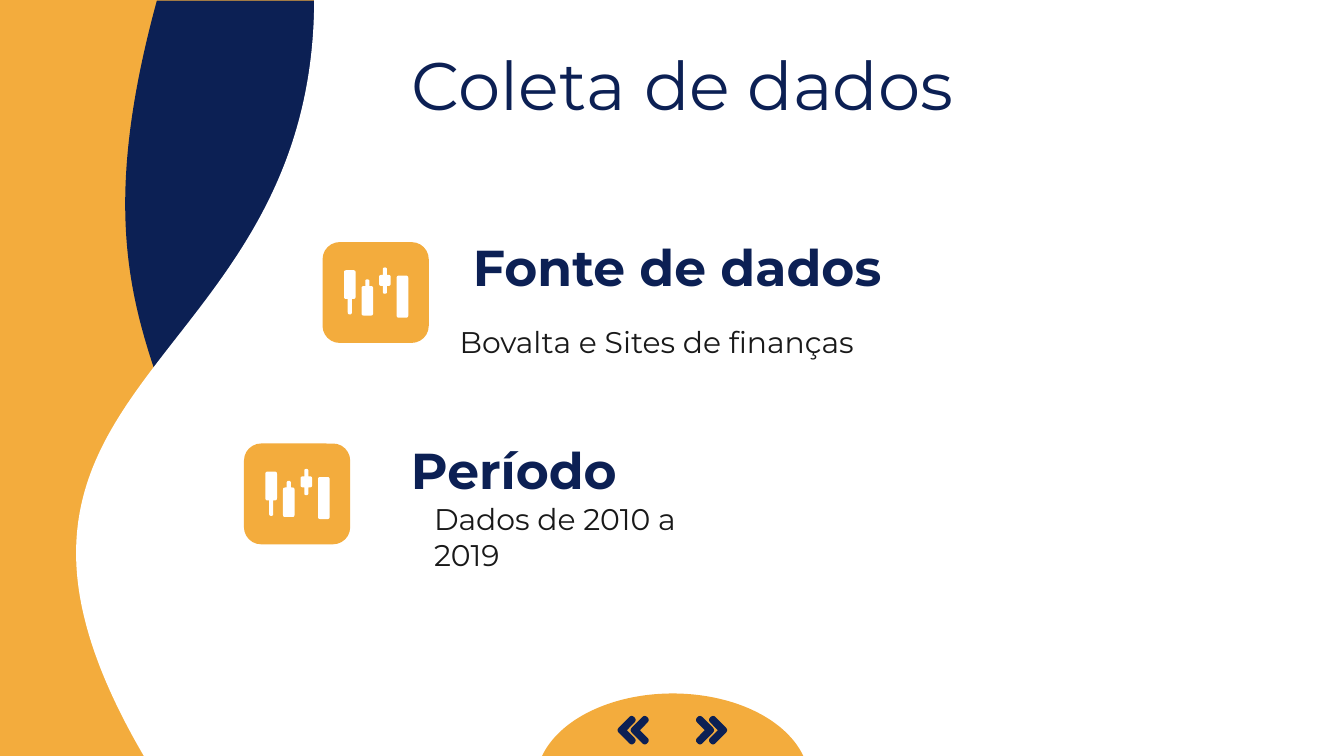
"""Build the "Coleta de dados" slide with its wave background and candle icons."""
from dataclasses import dataclass

from pptx import Presentation
from pptx.dml.color import RGBColor
from pptx.enum.shapes import MSO_SHAPE
from pptx.enum.text import MSO_ANCHOR, PP_ALIGN
from pptx.util import Pt

WAVE = MSO_SHAPE.FLOWCHART_DOCUMENT
TILE = MSO_SHAPE.ROUNDED_RECTANGLE
PIE = MSO_SHAPE.CHART_PIE if hasattr(MSO_SHAPE, "CHART_PIE") else MSO_SHAPE.PIE
MIDDLE = MSO_ANCHOR.MIDDLE
LEFT, CENTER = PP_ALIGN.LEFT, PP_ALIGN.CENTER


@dataclass(frozen=True)
class Theme:
    orange: RGBColor = RGBColor(0xF3, 0xAC, 0x3D)
    navy: RGBColor = RGBColor(0x0C, 0x20, 0x54)
    white: RGBColor = RGBColor(0xFF, 0xFF, 0xFF)
    ink: RGBColor = RGBColor(0x19, 0x19, 0x19)
    font: str = "Montserrat"
    title: float = 36
    heading: float = 27
    body: float = 16


@dataclass(frozen=True)
class Box:
    left: float
    top: float
    width: float
    height: float


@dataclass(frozen=True)
class Preset:
    kind: int
    box: Box
    color: RGBColor
    rotation: float = 0
    flipped: bool = False
    adjustments: tuple = ()


@dataclass(frozen=True)
class Label:
    text: str
    box: Box
    size: float
    color: RGBColor
    bold: bool = False
    align: int = LEFT
    side_inset: float = 7.2
    indent: float = 0


@dataclass(frozen=True)
class Candle:
    top: float
    upper_wick: float
    body: float
    lower_wick: float


@dataclass(frozen=True)
class Corner:
    x: float
    y: float
    radius: float = 0


THEME = Theme()
SLIDE_WIDTH, SLIDE_HEIGHT = 720, 405

WAVES = (
    Preset(WAVE, Box(19.44, 43.92, 404.64, 317.52), THEME.navy, 90),
    Preset(WAVE, Box(172.8, -141.84, 406.8, 688.32), THEME.white, 90, True),
)
DOME = Preset(PIE, Box(287.3, 371.5, 146.2, 94.3), THEME.orange, 180, True, (0, 108.31))

LABELS = (
    Label("Coleta de dados", Box(62.64, 25.92, 606.24, 38.16),
          THEME.title, THEME.navy, align=CENTER),
    Label("Fonte de dados", Box(246.24, 121.68, 250.56, 42.48),
          THEME.heading, THEME.navy, bold=True),
    Label("Bovalta e Sites de finanças", Box(246.24, 164.16, 270, 38.16),
          THEME.body, THEME.ink, side_inset=0),
    Label("Período", Box(213.12, 230.4, 146.88, 41.76),
          THEME.heading, THEME.navy, bold=True),
    Label("Dados de 2010 a 2019", Box(196.56, 268.56, 201.6, 37.44),
          THEME.body, THEME.ink, side_inset=0, indent=36),
)

ICONS = (Box(172.8, 129.7, 56.9, 54), Box(130.7, 237.6, 56.9, 54))
CANDLES = (
    Candle(15.1, 0, 15.4, 8.3),
    Candle(20, 3.6, 15.8, 0),
    Candle(13.6, 4, 5.9, 4.2),
    Candle(18, 0, 22.5, 0),
)
CANDLE_LEFT, CANDLE_PITCH, CANDLE_WIDTH, WICK_WIDTH = 11.5, 9.4, 6.2, 2.2

CHEVRON_TOP, CHEVRON_WIDTH = 383.7, 9.4
CHEVRON = (
    Corner(2, -0.83, 2), Corner(10.23, 7.5, 2), Corner(2, 15.83, 2),
    Corner(-0.83, 13, 2), Corner(4.57, 7.5), Corner(-0.83, 2, 2),
)
CHEVRON_PAIRS = (((373, 380), False), ((338, 331), True))


def paint(shape, color: RGBColor) -> None:
    """Give a shape a flat fill with no line or shadow."""
    shape.shadow.inherit = False
    shape.fill.solid()
    shape.fill.fore_color.rgb = color
    shape.line.fill.background()


def add_preset(slide, preset: Preset) -> None:
    """Draw one preset shape."""
    box = preset.box
    shape = slide.shapes.add_shape(
        preset.kind, Pt(box.left), Pt(box.top), Pt(box.width), Pt(box.height))
    paint(shape, preset.color)
    shape.rotation = preset.rotation
    if preset.flipped:
        shape._element.spPr.xfrm.set("flipH", "1")
    for index, value in enumerate(preset.adjustments):
        shape.adjustments[index] = value


def add_label(slide, label: Label) -> None:
    """Draw one single-paragraph text box."""
    box = label.box
    shape = slide.shapes.add_textbox(
        Pt(box.left), Pt(box.top), Pt(box.width), Pt(box.height))
    frame = shape.text_frame
    frame.word_wrap = True
    frame.vertical_anchor = MIDDLE
    frame.margin_left = frame.margin_right = Pt(label.side_inset)
    frame.margin_top = frame.margin_bottom = Pt(7.2)
    paragraph = frame.paragraphs[0]
    paragraph.text = label.text
    paragraph.alignment = label.align
    paragraph.font.name = THEME.font
    paragraph.font.size = Pt(label.size)
    paragraph.font.bold = label.bold
    paragraph.font.color.rgb = label.color
    if label.indent:
        properties = paragraph._p.get_or_add_pPr()
        properties.set("marL", str(Pt(label.indent)))
        properties.set("indent", "0")


def toward(start: Corner, end: Corner, distance: float) -> tuple[float, float]:
    """Return the point at a distance from start on the way to end."""
    run, rise = end.x - start.x, end.y - start.y
    share = distance / (run * run + rise * rise) ** 0.5
    return start.x + run * share, start.y + rise * share


def rounded_points(corners: list[Corner], steps: int = 6) -> list[tuple[int, int]]:
    """Turn corners into outline points, curving those that have a radius."""
    points = []
    for index, corner in enumerate(corners):
        if not corner.radius:
            points.append((Pt(corner.x), Pt(corner.y)))
            continue
        before = toward(corner, corners[index - 1], corner.radius)
        after = toward(corner, corners[(index + 1) % len(corners)], corner.radius)
        for step in range(steps + 1):
            t = step / steps
            x, y = ((1 - t) ** 2 * a + 2 * t * (1 - t) * b + t * t * c
                    for a, b, c in zip(before, (corner.x, corner.y), after))
            points.append((Pt(x), Pt(y)))
    return points


def add_outline(group, corners: list[Corner], left: float, top: float,
                color: RGBColor) -> None:
    """Draw a closed outline inside a group."""
    points = rounded_points(corners)
    builder = group.shapes.build_freeform(*points[0], scale=1.0)
    builder.add_line_segments(points[1:], close=True)
    paint(builder.convert_to_shape(Pt(left), Pt(top)), color)


def mirrored(corners: list[Corner], width: float) -> list[Corner]:
    """Flip corners left to right within a width."""
    return [Corner(width - corner.x, corner.y, corner.radius) for corner in corners]


def candle_corners(candle: Candle) -> list[Corner]:
    """Return the outline of a candle with its wicks."""
    wick = (CANDLE_WIDTH + WICK_WIDTH) / 2
    body_end = candle.upper_wick + candle.body
    right = [Corner(CANDLE_WIDTH, candle.upper_wick, 1.2),
             Corner(CANDLE_WIDTH, body_end, 1.2)]
    if candle.upper_wick:
        right = [Corner(wick, 0, 1.1), Corner(wick, candle.upper_wick)] + right
    if candle.lower_wick:
        right += [Corner(wick, body_end), Corner(wick, body_end + candle.lower_wick, 1.1)]
    return right + mirrored(right, CANDLE_WIDTH)[::-1]


def add_icon(slide, box: Box) -> None:
    """Draw a tile with its row of candles."""
    add_preset(slide, Preset(TILE, box, THEME.orange, adjustments=(0.17,)))
    group = slide.shapes.add_group_shape()
    for index, candle in enumerate(CANDLES):
        left = box.left + CANDLE_LEFT + index * CANDLE_PITCH
        add_outline(group, candle_corners(candle), left, box.top + candle.top, THEME.white)


def add_chevrons(slide, lefts: tuple, backward: bool) -> None:
    """Draw a double chevron."""
    corners = mirrored(CHEVRON, CHEVRON_WIDTH) if backward else list(CHEVRON)
    group = slide.shapes.add_group_shape()
    for left in lefts:
        add_outline(group, corners, left, CHEVRON_TOP, THEME.navy)


def main() -> None:
    """Assemble and save the slide."""
    presentation = Presentation()
    presentation.slide_width, presentation.slide_height = Pt(SLIDE_WIDTH), Pt(SLIDE_HEIGHT)
    slide = presentation.slides.add_slide(presentation.slide_layouts[6])
    slide.background.fill.solid()
    slide.background.fill.fore_color.rgb = THEME.orange
    for preset in (*WAVES, DOME):
        add_preset(slide, preset)
    for label in LABELS:
        add_label(slide, label)
    for box in ICONS:
        add_icon(slide, box)
    for lefts, backward in CHEVRON_PAIRS:
        add_chevrons(slide, lefts, backward)
    presentation.save("out.pptx")


if __name__ == "__main__":
    main()
